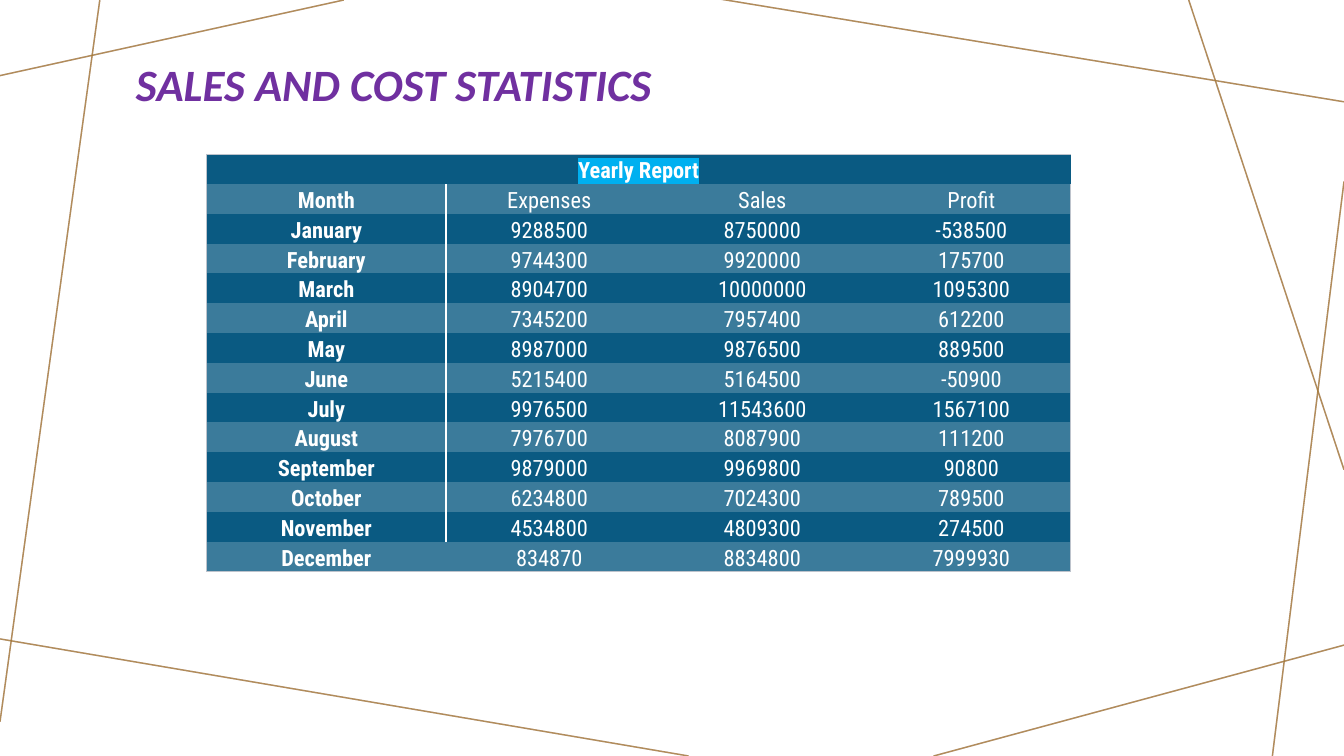
from lxml.etree import SubElement
from pptx import Presentation
from pptx.dml.color import RGBColor
from pptx.enum.shapes import MSO_CONNECTOR
from pptx.enum.text import MSO_ANCHOR, PP_ALIGN
from pptx.oxml.ns import qn
from pptx.util import Inches, Pt

WIDTH, HEIGHT = 13.33, 7.5
NO_STYLE = "{2D5ABB26-0587-4C30-8999-92F81FD0307C}"
BANDS = ("0A5A82", "3B7B9B")
WHITE, EDGE = ("FFFFFF", 1), ("BDC3CC", 0.5)
RAYS = [
    (3.41, 0, 0, 0.75),
    (0.99, 0, 0, 7.16),
    (6.83, HEIGHT, -0.05, 6.33),
    (WIDTH, 6.4, 9.26, HEIGHT),
    (WIDTH, 1.8, 12.62, HEIGHT),
    (WIDTH, 4.66, 11.79, 0),
    (WIDTH, 1.01, 7.14, -0.01),
]
REPORT = [
    ("Yearly Report", "", "", ""),
    ("Month", "Expenses", "Sales", "Profit"),
    ("January", 9288500, 8750000, -538500),
    ("February", 9744300, 9920000, 175700),
    ("March", 8904700, 10000000, 1095300),
    ("April", 7345200, 7957400, 612200),
    ("May", 8987000, 9876500, 889500),
    ("June", 5215400, 5164500, -50900),
    ("July", 9976500, 11543600, 1567100),
    ("August", 7976700, 8087900, 111200),
    ("September", 9879000, 9969800, 90800),
    ("October", 6234800, 7024300, 789500),
    ("November", 4534800, 4809300, 274500),
    ("December", 834870, 8834800, 7999930),
]


def color(code):
    """Return the colour for a hex string."""
    return RGBColor.from_string(code)


def apply(target, values):
    """Set each attribute of the target from a dict."""
    for key, value in values.items():
        setattr(target, key, value)


def write(paragraph, text, spacing, code, **font):
    """Put one formatted run into a paragraph and return it."""
    paragraph.line_spacing = spacing
    run = paragraph.add_run()
    run.text = text
    run.font.color.rgb = color(code)
    apply(run.font, font)
    return run


def add_solid(parent, code):
    """Append a solid fill to an XML element and return its colour element."""
    return SubElement(SubElement(parent, qn("a:solidFill")), qn("a:srgbClr"), val=code)


def draw_rays(slide, code):
    """Draw the crossing translucent lines around the slide edge."""
    for ray in RAYS:
        line = slide.shapes.add_connector(MSO_CONNECTOR.STRAIGHT, *map(Inches, ray))
        line.line.width = Pt(1)
        line.line.color.rgb = color(code)
        tint = line.line.fill._xPr.find(".//" + qn("a:srgbClr"))
        SubElement(tint, qn("a:alpha"), val="70000")
        SubElement(line._element.spPr, qn("a:effectLst"))


def draw_title(slide, left, top, width, height):
    """Write the slide title in its box."""
    frame = slide.shapes.add_textbox(*map(Inches, (left, top, width, height))).text_frame
    apply(frame, {"word_wrap": True, "vertical_anchor": MSO_ANCHOR.BOTTOM})
    write(frame.paragraphs[0], "SALES AND COST STATISTICS", 0.9, "7030A0",
          name="Calibri", size=Pt(32), bold=True, italic=True)


def set_borders(cell, borders):
    """Add cell borders, given by side as colour and width, before the fill."""
    properties = cell._tc.get_or_add_tcPr()
    sides = [side for side in "LRTB" if side in borders]
    for position, side in enumerate(sides):
        code, width = borders[side]
        border = SubElement(properties, qn("a:ln" + side), w=str(Pt(width)))
        add_solid(border, code)
        properties.insert(position, border)


def borders_for(row, column):
    """Choose the borders of a cell from its place in the report."""
    last_row, last_column = len(REPORT) - 1, len(REPORT[0]) - 1
    rules = [
        ("L", column == 0, EDGE),
        ("R", column == last_column and row > 0, EDGE),
        ("R", column == 0 and 0 < row < last_row, WHITE),
        ("T", row == 0, EDGE),
        ("B", row == last_row, EDGE),
    ]
    return {side: style for side, wanted, style in rules if wanted}


def draw_report(slide, left, top, width, height):
    """Build the banded monthly table in its box."""
    rows, shares = len(REPORT), (0.277, 0.239, 0.254, 0.23)
    table = slide.shapes.add_table(
        rows, len(shares), *map(Inches, (left, top, width, height))).table
    apply(table, {"first_row": False, "horz_banding": False})
    table._tbl.tblPr.find(qn("a:tableStyleId")).text = NO_STYLE
    for column, share in zip(table.columns, shares):
        column.width = Inches(width * share)
    for row in table.rows:
        row.height = Inches(height / rows)
    table.cell(0, 0).merge(table.cell(0, len(shares) - 1))
    for r, record in enumerate(REPORT):
        for c, value in enumerate(record):
            cell = table.cell(r, c)
            apply(cell, {"margin_left": Inches(0.07), "margin_right": Inches(0.07),
                         "margin_top": 0, "margin_bottom": 0,
                         "vertical_anchor": MSO_ANCHOR.BOTTOM})
            cell.fill.solid()
            cell.fill.fore_color.rgb = color(BANDS[r % 2])
            set_borders(cell, borders_for(r, c))
            paragraph = cell.text_frame.paragraphs[0]
            paragraph.alignment = PP_ALIGN.CENTER
            run = write(paragraph, str(value), 1.07, "FFFFFF",
                        name="Roboto Condensed", size=Pt(16), bold=c == 0)
            if r == c == 0:
                highlight = SubElement(run.font._element, qn("a:highlight"))
                SubElement(highlight, qn("a:srgbClr"), val="00B0F0")
                run.font._element.find(qn("a:solidFill")).addnext(highlight)


def main():
    """Build the slide and save it."""
    deck = Presentation()
    apply(deck, {"slide_width": Inches(WIDTH), "slide_height": Inches(HEIGHT)})
    slide = deck.slides.add_slide(deck.slide_layouts[6])
    for code in ("BA9CA0", "A57931"):
        draw_rays(slide, code)
    draw_title(slide, 1.25, 0.58, 7.96, 0.57)
    draw_report(slide, 2.05, 1.53, 8.57, 4.14)
    deck.save("out.pptx")


if __name__ == "__main__":
    main()
